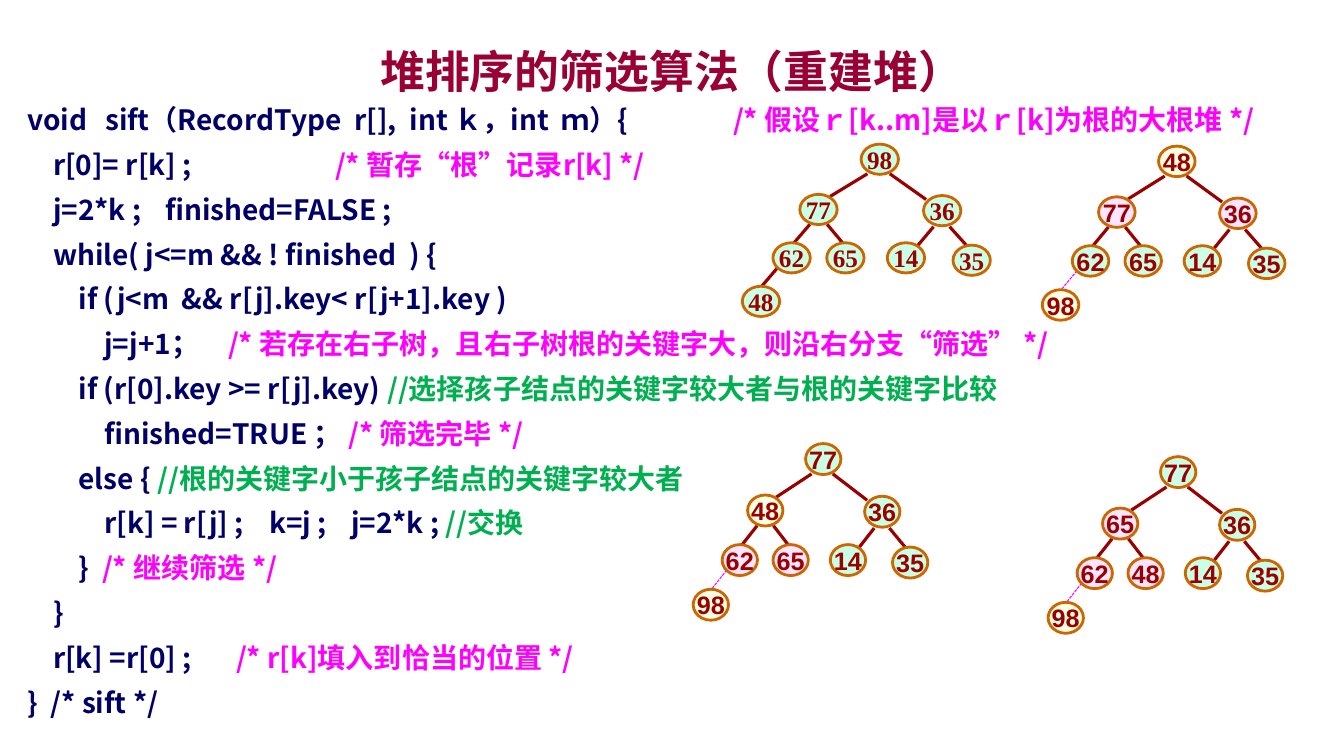
from dataclasses import dataclass

from lxml.etree import SubElement
from pptx import Presentation
from pptx.dml.color import RGBColor
from pptx.enum.dml import MSO_LINE
from pptx.enum.shapes import MSO_CONNECTOR, MSO_SHAPE
from pptx.enum.text import MSO_ANCHOR, PP_ALIGN
from pptx.oxml.ns import qn
from pptx.util import Inches, Pt

NAVY = RGBColor(0x00, 0x00, 0x66)
MAGENTA = RGBColor(0xFF, 0x00, 0xFF)
GREEN = RGBColor(0x00, 0xB0, 0x50)
CRIMSON = RGBColor(0x99, 0x00, 0x33)
DARK_RED = RGBColor(0x99, 0x00, 0x00)
ORANGE = RGBColor(0xCC, 0x66, 0x00)
MINT = RGBColor(0x99, 0xFF, 0xCC)
CREAM = RGBColor(0xFF, 0xFF, 0xCC)
PINK = RGBColor(0xFF, 0xCC, 0xFF)
FILLS = {"m": MINT, "c": CREAM, "p": PINK}

SANS = "Noto Sans CJK SC"
WIDTH, HEIGHT = Inches(13.33), Inches(7.5)
INDENT = 1.91


@dataclass
class CodeLine:
    level: int
    code: str
    comment: str = ""
    color: RGBColor = MAGENTA
    tabs: tuple[float, ...] = ()


@dataclass
class Tree:
    left: float
    top: float
    node_w: float
    node_h: float
    keys: tuple[int, ...]
    fills: str
    font: str = "Arial"
    detached: bool = True


CODE = [
    CodeLine(0, "void\tsift（RecordType  r[],  int ｋ，int  ｍ）{\t",
             "/* 假设ｒ[k..m]是以ｒ[k]为根的大根堆 */", tabs=(5.79, 52.51)),
    CodeLine(1, "r[0]= r[k] ;\t", "/* 暂存“根”记录r[k] */", tabs=(22.9,)),
    CodeLine(1, "j=2*k ;\tfinished=FALSE ;", tabs=(10.25,)),
    CodeLine(1, "while( j<=m && ! finished  ) {"),
    CodeLine(2, "if (j<m  && r[j].key< r[j+1].key )"),
    CodeLine(3, "j=j+1；\t", "/* 若存在右子树，且右子树根的关键字大，则沿右分支“筛选” */",
             tabs=(14.94,)),
    CodeLine(2, "if (r[0].key >= r[j].key) ", "//选择孩子结点的关键字较大者与根的关键字比较", GREEN),
    CodeLine(3, "finished=TRUE ； ", "/* 筛选完毕 */"),
    CodeLine(2, "else { ", "//根的关键字小于孩子结点的关键字较大者", GREEN),
    CodeLine(3, "r[k] = r[j] ;\tk=j ;\tj=2*k ; ", "//交换", GREEN, (17.99, 24.09)),
    CodeLine(2, "}  ", "/* 继续筛选 */"),
    CodeLine(1, "}"),
    CodeLine(1, "r[k] =r[0] ;\t", "/* r[k]填入到恰当的位置 */", tabs=(15.53,)),
    CodeLine(0, "}  /* sift */"),
]

NODE_SPOTS = [(0, 0), (-1.64, 1.66), (1.67, 1.7), (-2.36, 3.26),
              (-0.92, 3.26), (0.7, 3.26), (2.46, 3.34), (-3.18, 4.7)]
EDGES = [
    (0.17, 0.98, -0.83, 1.73), (0.77, 0.98, 1.74, 1.83),
    (-1.37, 2.65, -1.8, 3.27), (-0.91, 2.65, -0.49, 3.27),
    (1.94, 2.73, 1.51, 3.36), (2.37, 2.73, 2.83, 3.36),
    (-2.23, 4.08, -2.66, 4.7),
]
TREES = [
    Tree(64.07, 19.07, 2.78, 4, (98, 77, 36, 62, 65, 14, 35, 48), "mmmmmmmm",
         "Times New Roman", False),
    Tree(86.2, 19.33, 2.72, 4.04, (48, 77, 36, 62, 65, 14, 35, 98), "cppmmmmc"),
    Tree(59.94, 58.67, 2.63, 4.1, (77, 48, 36, 62, 65, 14, 35, 98), "mcmppmmc"),
    Tree(86.35, 60.4, 2.63, 4.1, (77, 65, 36, 62, 48, 14, 35, 98), "mpmppmmc"),
]


def across(share: float) -> int:
    return round(WIDTH * share / 100)


def down(share: float) -> int:
    return round(HEIGHT * share / 100)


def add_run(p, text: str, size: int, color: RGBColor, font: str) -> None:
    r = p.add_run()
    r.text = text
    r.font.size = Pt(size)
    r.font.bold = True
    r.font.color.rgb = color
    r.font.name = font
    SubElement(r.font._element, qn("a:ea"), typeface=font)


def add_text_frame(slide, left: float, top: float, width: float, height: float):
    box = slide.shapes.add_textbox(across(left), down(top), across(width), down(height))
    box.text_frame.word_wrap = True
    return box.text_frame


def add_code(slide) -> None:
    tf = add_text_frame(slide, 1.3, 12.93, 96.07, 83.6)
    for i, line in enumerate(CODE):
        p = tf.paragraphs[0] if i == 0 else tf.add_paragraph()
        p.space_before = Pt(8)
        p_pr = p._p.get_or_add_pPr()
        if line.level:
            p_pr.set("marL", str(across(INDENT * line.level)))
        if line.tabs:
            stops = SubElement(p_pr, qn("a:tabLst"))
            for tab in line.tabs:
                pos = across(tab - INDENT * line.level)
                SubElement(stops, qn("a:tab"), pos=str(pos), algn="l")
        add_run(p, line.code, 20, NAVY, SANS)
        if line.comment:
            add_run(p, line.comment, 20, line.color, SANS)


def add_tree(slide, tree: Tree) -> None:
    group = slide.shapes.add_group_shape()

    def spot(x: float, y: float) -> tuple[int, int]:
        return across(tree.left + x * tree.node_w), down(tree.top + y * tree.node_h)

    for i, (x1, y1, x2, y2) in enumerate(EDGES):
        edge = group.shapes.add_connector(MSO_CONNECTOR.STRAIGHT, *spot(x1, y1), *spot(x2, y2))
        dashed = tree.detached and i == len(EDGES) - 1
        edge.line.color.rgb = MAGENTA if dashed else DARK_RED
        edge.line.width = Pt(0.75 if dashed else 2.25)
        if dashed:
            edge.line.dash_style = MSO_LINE.SQUARE_DOT
        SubElement(edge._element.spPr, qn("a:effectLst"))

    for key, fill, (x, y) in zip(tree.keys, tree.fills, NODE_SPOTS):
        sp = group.shapes.add_shape(MSO_SHAPE.OVAL, *spot(x, y),
                                    across(tree.node_w), down(tree.node_h))
        sp.shadow.inherit = False
        sp.fill.solid()
        sp.fill.fore_color.rgb = FILLS[fill]
        color = sp._element.spPr.find(qn("a:solidFill")).find(qn("a:srgbClr"))
        SubElement(color, qn("a:alpha"), val="50000")
        sp.line.color.rgb = ORANGE
        sp.line.width = Pt(2)
        tf = sp.text_frame
        tf.word_wrap = False
        tf.vertical_anchor = MSO_ANCHOR.MIDDLE
        tf.paragraphs[0].alignment = PP_ALIGN.CENTER
        add_run(tf.paragraphs[0], str(key), 18, DARK_RED, tree.font)


def main() -> None:
    prs = Presentation()
    prs.slide_width, prs.slide_height = WIDTH, HEIGHT
    slide = prs.slides.add_slide(prs.slide_layouts[6])
    add_code(slide)
    tf = add_text_frame(slide, 7.5, 6.53, 85, 5.73)
    tf.vertical_anchor = MSO_ANCHOR.MIDDLE
    tf.paragraphs[0].alignment = PP_ALIGN.CENTER
    add_run(tf.paragraphs[0], "堆排序的筛选算法（重建堆）", 32, CRIMSON, SANS)
    for tree in TREES:
        add_tree(slide, tree)
    prs.save("out.pptx")


if __name__ == "__main__":
    main()
